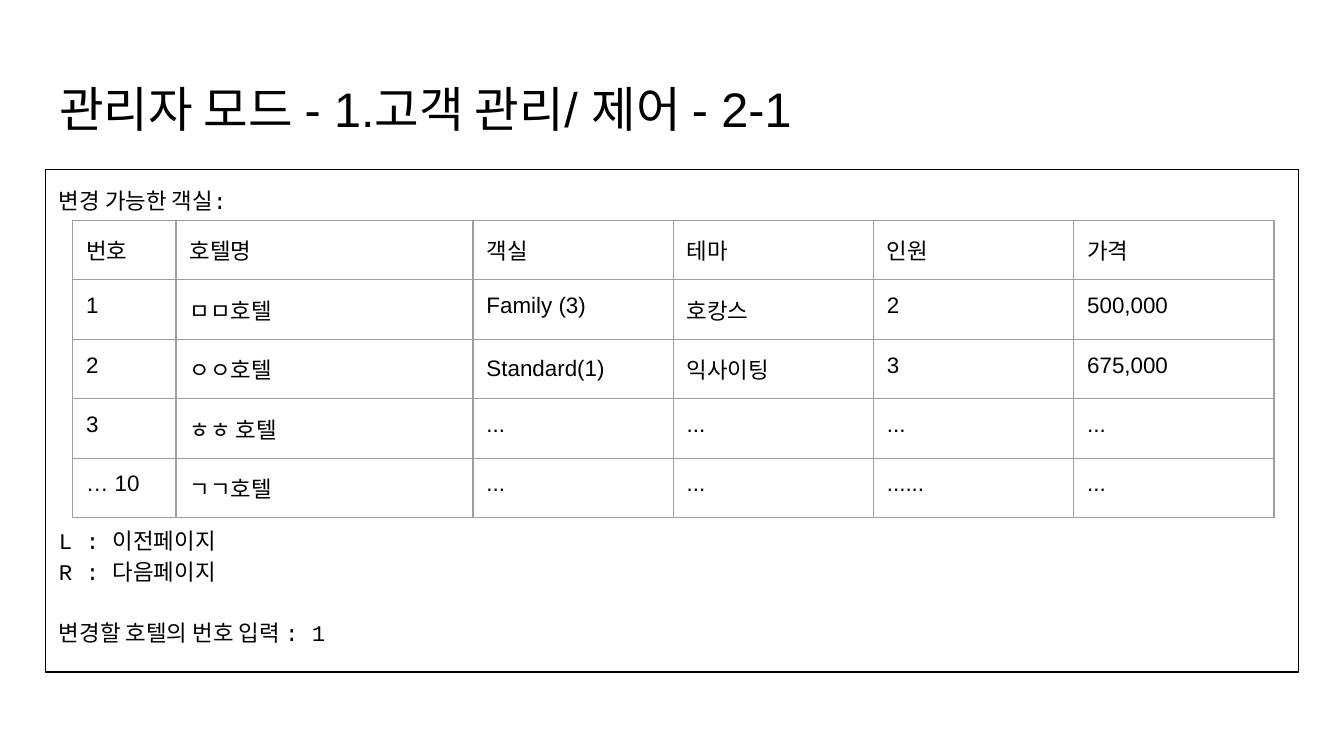
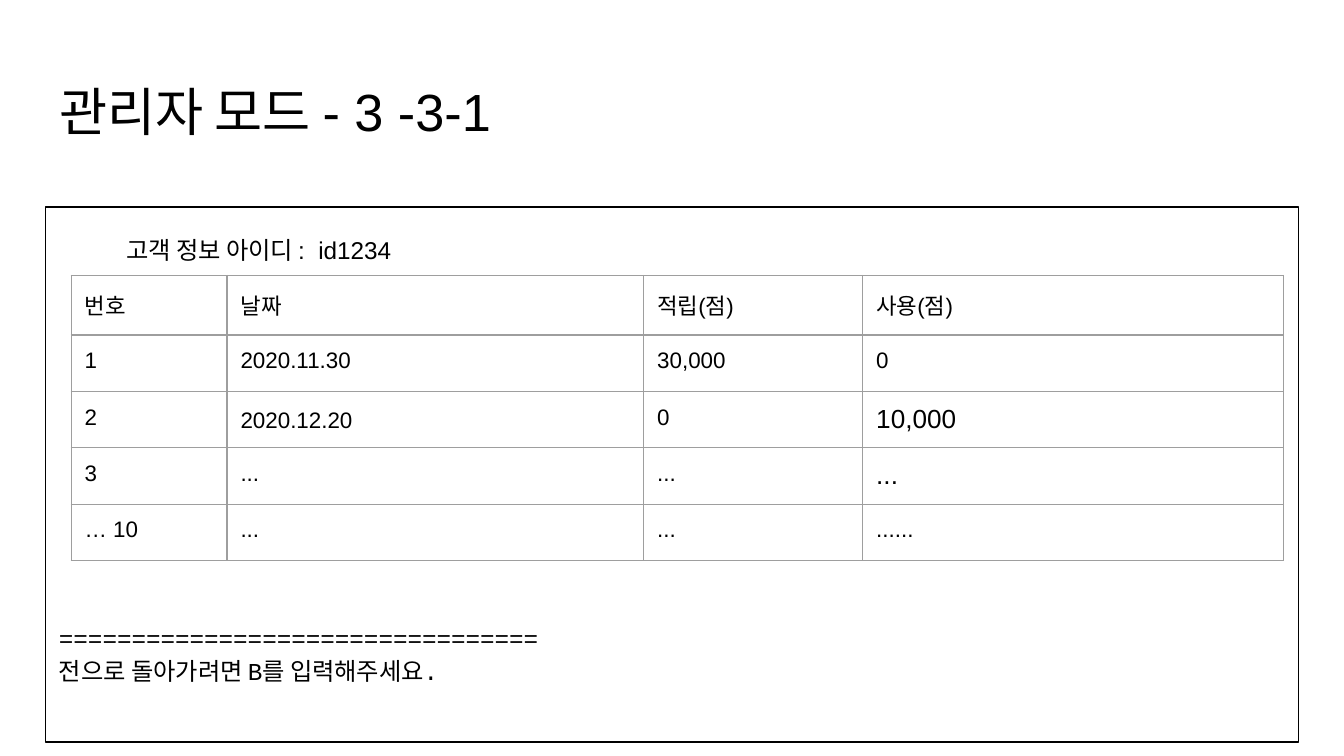
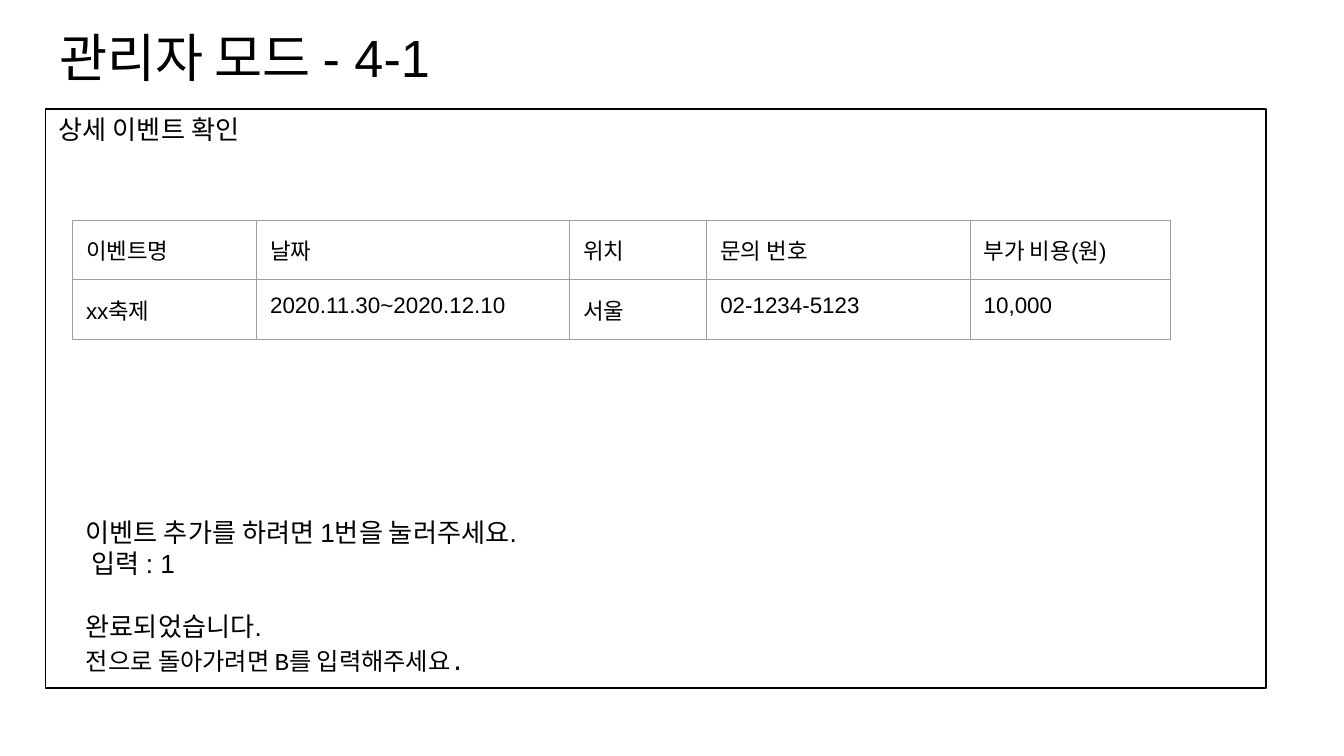
import pptx
import pptx.util
import pptx.dml.color
import pptx.enum.shapes
import pptx.enum.text
import pptx.oxml
import pptx.oxml.ns

# Shared style
INK, GRID, PAPER = "000000", "9E9E9E", "FFFFFF"
SANS, MONO = "Arial", "Courier New"
SLIDE_WIDTH, ASPECT = 10, 16 / 9
LEFT, WIDTH, PAD = 0.34, 9.32, 0.1
TITLE_HEIGHT, HEADER_ROW, BODY_ROW = 0.63, 0.43, 0.42
CELL_SIZE, LINE_WIDTH = 12, 0.75
BACK = "전으로 돌아가려면 B를 입력해주세요."

# Content: boxes are left, top, width, height in inches; sizes and gaps in points
SLIDES = [
    {
        "title": ("관리자 모드 - 1.고객 관리/ 제어 - 2-1", 26, 0.49),
        "panel": (LEFT, 1.26, WIDTH, 3.74),
        "lines": [
            {"text": "변경 가능한 객실:", "size": 12, "font": MONO, "spacing": 1.15},
            {"text": "L : 이전페이지", "size": 12, "font": MONO, "spacing": 1.15,
             "before": 166},
            {"text": "R : 다음페이지", "size": 12, "font": MONO, "spacing": 1.15},
            {"text": "변경할 호텔의 번호 입력 : 1", "size": 12, "font": MONO,
             "spacing": 1.15, "before": 16},
        ],
        "table_at": (0.54, 1.64),
        "cols": [0.77, 2.21, 1.49, 1.49, 1.49, 1.49],
        "rows": [
            ["번호", "호텔명", "객실", "테마", "인원", "가격"],
            ["1", "ㅁㅁ호텔", "Family (3)", "호캉스", "2", "500,000"],
            ["2", "ㅇㅇ호텔", "Standard(1)", "익사이팅", "3", "675,000"],
            ["3", "ㅎㅎ 호텔", "...", "...", "...", "..."],
            ["… 10", "ㄱㄱ호텔", "...", "...", "......", "..."],
        ],
        "cell_style": {(2, 2): {"spacing": 1.15}},
    },
    {
        "title": ("관리자 모드 - 3 -3-1", 28, 0.49),
        "panel": (LEFT, 1.54, WIDTH, 3.98),
        "lines": [
            {"text": "고객 정보 아이디 :  id1234", "size": 13, "spacing": 1.5,
             "indent": 0.5},
            {"text": "=" * 33, "size": 13, "font": MONO, "spacing": 1.15,
             "before": 190},
            {"text": BACK, "size": 13, "font": MONO, "spacing": 1.15},
        ],
        "table_at": (0.53, 2.05),
        "cols": [1.16, 3.1, 1.63, 3.13],
        "rows": [
            ["번호", "날짜", "적립(점)", "사용(점)"],
            ["1", "2020.11.30", "30,000", "0"],
            ["2", "2020.12.20", "0", "10,000"],
            ["3", "...", "...", "..."],
            ["… 10", "...", "...", "......"],
        ],
        "cell_style": {(2, 1): {"spacing": 1.15}, (2, 3): {"size": 14},
                       (3, 3): {"size": 14}},
    },
    {
        "title": ("관리자 모드 - 4-1", 28, 0.09),
        "panel": (LEFT, 0.81, 9.08, 4.31),
        "lines": [{"text": "상세 이벤트 확인", "size": 14, "spacing": 0.7}],
        "table_at": (0.54, 1.64),
        "cols": [1.37, 2.33, 1.02, 1.96, 1.49],
        "rows": [
            ["이벤트명", "날짜", "위치", "문의 번호", "부가 비용(원)"],
            ["xx축제", "2020.11.30~2020.12.10", "서울", "02-1234-5123", "10,000"],
        ],
        "note_at": (0.54, 3.74, 4.98, 0.41),
        "note": [
            {"text": "이벤트 추가를 하려면 1번을 눌러주세요.", "size": 14},
            {"text": " 입력 : 1", "size": 14},
            {"text": "완료되었습니다.", "size": 14, "before": 17},
            {"text": BACK, "size": 13, "font": MONO, "spacing": 1.15},
        ],
    },
]


def color(value):
    return pptx.dml.color.RGBColor.from_string(value)


def inches(values):
    return [pptx.util.Inches(v) for v in values]


def write_line(p, text, size, font=SANS, spacing=1.0, before=0, indent=0):
    p.alignment = pptx.enum.text.PP_ALIGN.LEFT
    p.line_spacing = spacing
    p.space_before = pptx.util.Pt(before)
    if indent:
        p._p.get_or_add_pPr().set("marL", str(pptx.util.Inches(indent)))
    r = p.add_run()
    r.text = text
    r.font.size = pptx.util.Pt(size)
    r.font.color.rgb = color(INK)
    r.font.name = font


def fill_frame(tf, lines):
    tf.word_wrap = True
    tf.auto_size = pptx.enum.text.MSO_AUTO_SIZE.NONE
    tf.vertical_anchor = pptx.enum.text.MSO_ANCHOR.TOP
    tf.margin_left, tf.margin_top, tf.margin_right, tf.margin_bottom = inches([PAD] * 4)
    for i, line in enumerate(lines):
        write_line(tf.add_paragraph() if i else tf.paragraphs[0], **line)


def add_title(slide, text, size, top):
    sp = slide.shapes.title
    sp.left, sp.top, sp.width, sp.height = inches((LEFT, top, WIDTH, TITLE_HEIGHT))
    fill_frame(sp.text_frame, [{"text": text, "size": size}])


def add_panel(slide, box, lines):
    sp = slide.shapes.add_shape(pptx.enum.shapes.MSO_SHAPE.RECTANGLE, *inches(box))
    sp.shadow.inherit = False
    sp.fill.background()
    sp.line.color.rgb = color(INK)
    sp.line.width = pptx.util.Pt(LINE_WIDTH)
    fill_frame(sp.text_frame, lines)


def add_borders(cell):
    tc_pr = cell._tc.get_or_add_tcPr()
    for i, side in enumerate(("lnL", "lnR", "lnT", "lnB")):
        tc_pr.insert(i, pptx.oxml.parse_xml(
            f'<a:{side} {pptx.oxml.ns.nsdecls("a")} w="{pptx.util.Pt(LINE_WIDTH)}">'
            f'<a:solidFill><a:srgbClr val="{GRID}"/></a:solidFill></a:{side}>'))


def add_grid(slide, at, cols, rows, cell_style):
    heights = [HEADER_ROW] + [BODY_ROW] * (len(rows) - 1)
    table = slide.shapes.add_table(
        len(rows), len(cols), *inches((*at, sum(cols), sum(heights)))).table
    table.first_row = table.horz_banding = False
    for column, width in zip(table.columns, inches(cols)):
        column.width = width
    for row, height in zip(table.rows, inches(heights)):
        row.height = height
    for i, row in enumerate(rows):
        for j, text in enumerate(row):
            cell = table.cell(i, j)
            cell.margin_left, cell.margin_top, cell.margin_right, cell.margin_bottom = (
                inches([PAD] * 4))
            cell.fill.background()
            add_borders(cell)
            style = {"size": CELL_SIZE, **cell_style.get((i, j), {})}
            write_line(cell.text_frame.paragraphs[0], text, **style)


def main():
    prs = pptx.Presentation()
    prs.slide_width, prs.slide_height = inches((SLIDE_WIDTH, SLIDE_WIDTH / ASPECT))
    for content in SLIDES:
        slide = prs.slides.add_slide(prs.slide_layouts[5])
        slide.background.fill.solid()
        slide.background.fill.fore_color.rgb = color(PAPER)
        add_title(slide, *content["title"])
        add_panel(slide, content["panel"], content["lines"])
        add_grid(slide, content["table_at"], content["cols"], content["rows"],
                 content.get("cell_style", {}))
        if "note" in content:
            sp = slide.shapes.add_textbox(*inches(content["note_at"]))
            fill_frame(sp.text_frame, content["note"])
    prs.save("out.pptx")


if __name__ == "__main__":
    main()
